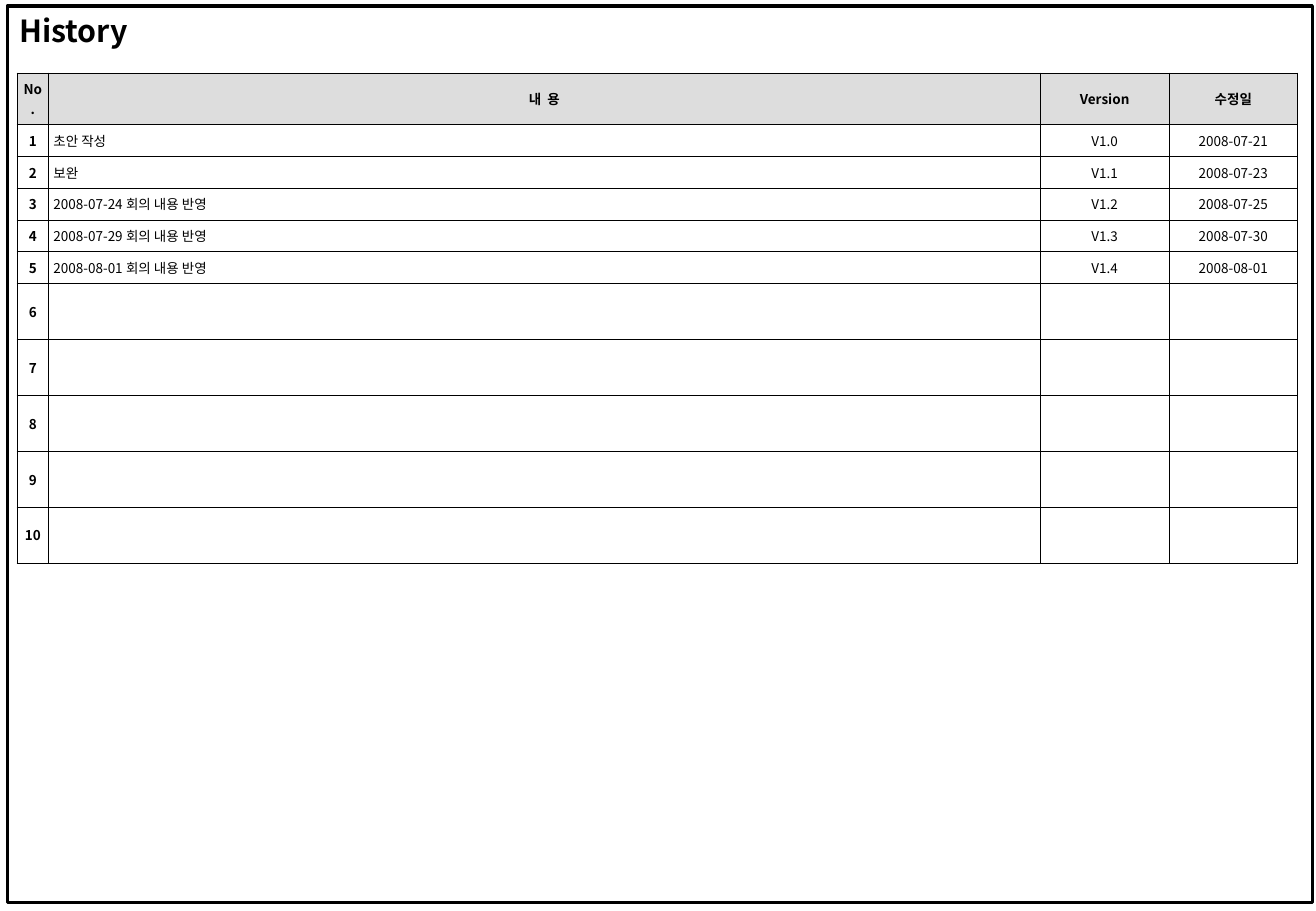
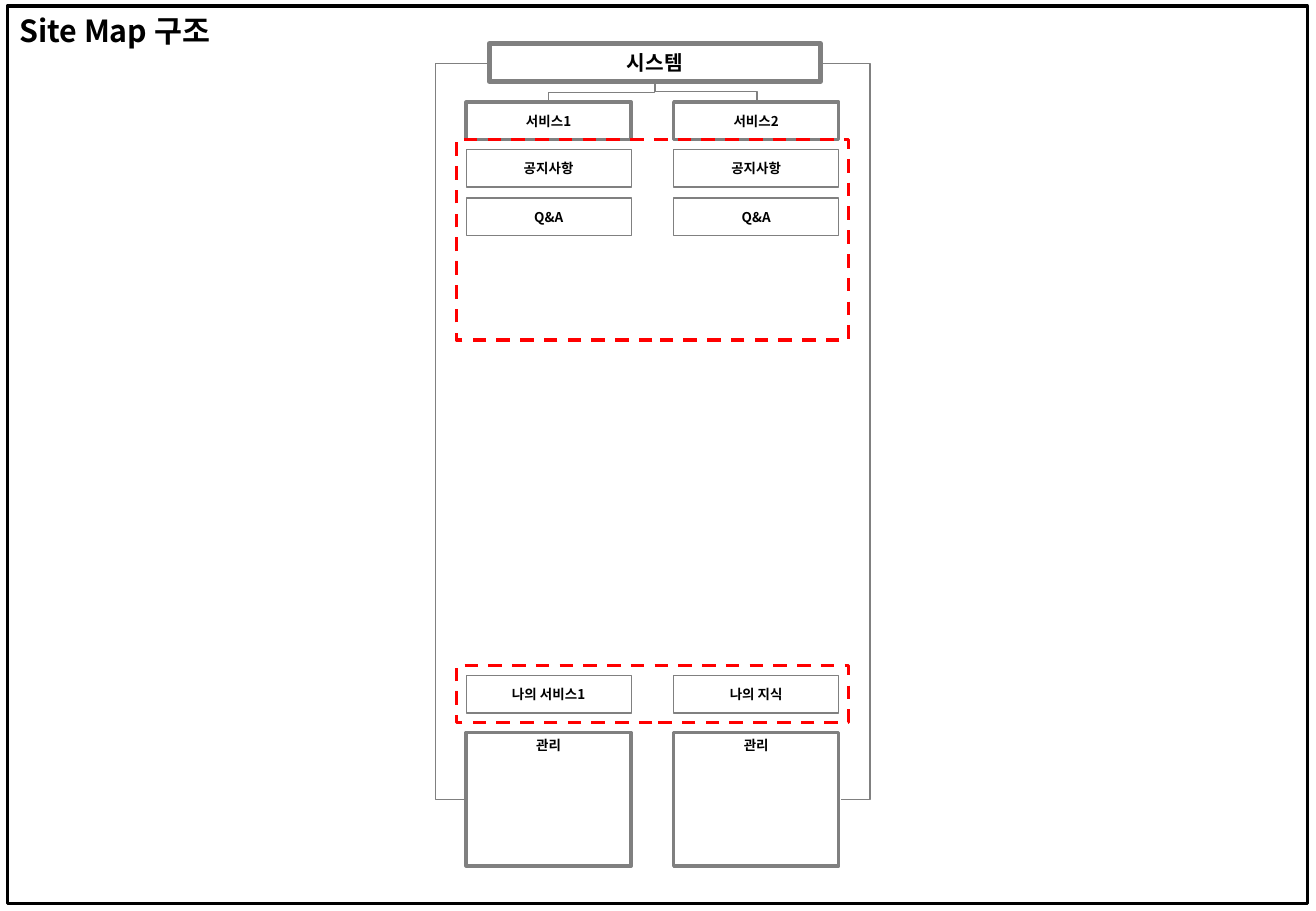
from lxml import etree
from pptx import Presentation, util as u
from pptx.dml.color import RGBColor
from pptx.enum import dml, shapes, text
from pptx.oxml import ns

FONT = "Noto Sans CJK KR"
BLACK, WHITE, GREY, PALE, RED = "000000", "FFFFFF", "808080", "DDDDDD", "FF0000"


def paint(fill, colour):
    fill.solid()
    fill.fore_color.rgb = RGBColor.from_string(colour)


def write(para, words, size, bold=True):
    span = para.add_run()
    span.text = words
    span.font.name = FONT
    span.font.size = u.Pt(size)
    span.font.bold = bold
    paint(span.font.fill, BLACK)
    east_asian = etree.SubElement(span.font._element, ns.qn("a:ea"))
    east_asian.set("typeface", FONT)


deck = Presentation()
deck.slide_width, deck.slide_height = u.Inches(10.84), u.Inches(7.5)
history, site_map = [deck.slides.add_slide(deck.slide_layouts[6]) for _ in range(2)]

for page, title, width, height in [
    (history, "History", 10.75, 7.38),
    (site_map, "Site Map 구조", 10.71, 7.39),
]:
    frame = page.shapes.add_shape(
        shapes.MSO_SHAPE.RECTANGLE,
        u.Inches(0.06), u.Inches(0.05), u.Inches(width), u.Inches(height),
    )
    frame.shadow.inherit = False
    frame.fill.background()
    paint(frame.line.fill, BLACK)
    frame.line.width = u.Pt(2)
    frame.text_frame.vertical_anchor = text.MSO_ANCHOR.TOP
    para = frame.text_frame.paragraphs[0]
    para.alignment = text.PP_ALIGN.LEFT
    write(para, title, 18)

entries = [
    ("초안 작성", "V1.0", "2008-07-21"),
    ("보완", "V1.1", "2008-07-23"),
    ("2008-07-24 회의 내용 반영", "V1.2", "2008-07-25"),
    ("2008-07-29 회의 내용 반영", "V1.3", "2008-07-30"),
    ("2008-08-01 회의 내용 반영", "V1.4", "2008-08-01"),
] + [("", "", "")] * 5
rows = [("No.", "내  용", "Version", "수정일")]
rows += [(str(number), *entry) for number, entry in enumerate(entries, 1)]
row_heights = [0.42] + [0.26] * 5 + [0.46] * 5
column_widths = [0.26, 8.17, 1.06, 1.06]

table = history.shapes.add_table(
    len(rows), len(column_widths), u.Inches(0.14), u.Inches(0.6),
    u.Inches(sum(column_widths)), u.Inches(sum(row_heights)),
).table
table.first_row = table.horz_banding = False
for column, width in zip(table.columns, column_widths):
    column.width = u.Inches(width)
for row_index, (row, height) in enumerate(zip(rows, row_heights)):
    table.rows[row_index].height = u.Inches(height)
    for column_index, words in enumerate(row):
        cell = table.cell(row_index, column_index)
        cell.margin_left = cell.margin_right = u.Inches(0.04)
        cell.vertical_anchor = text.MSO_ANCHOR.MIDDLE
        properties = cell._tc.get_or_add_tcPr()
        for side in ("a:lnL", "a:lnR", "a:lnT", "a:lnB"):
            border = etree.SubElement(properties, ns.qn(side), w=str(u.Pt(0.45)))
            solid = etree.SubElement(border, ns.qn("a:solidFill"))
            etree.SubElement(solid, ns.qn("a:srgbClr"), val=BLACK)
        paint(cell.fill, WHITE if row_index else PALE)
        if words:
            para = cell.text_frame.paragraphs[0]
            left = row_index and column_index == 1
            para.alignment = text.PP_ALIGN.LEFT if left else text.PP_ALIGN.CENTER
            para.space_before = u.Pt(2)
            write(para, words, 8, row_index == 0 or column_index == 0)

boxes = [("시스템", 4.03, 0.36, 2.73, 0.31, 3, 12)]
for labels, top, height, weight in [
    (("서비스1", "서비스2"), 0.84, 0.31, 2),
    (("공지사항", "공지사항"), 1.23, 0.31, 0.75),
    (("Q&A", "Q&A"), 1.63, 0.31, 0.75),
    (("나의 서비스1", "나의 지식"), 5.56, 0.31, 0.75),
    (("관리", "관리"), 6.03, 1.1, 2),
]:
    for label, left in zip(labels, (3.84, 5.55)):
        boxes.append((label, left, top, 1.36, height, weight, 8))

for label, left, top, width, height, weight, size in boxes:
    box = site_map.shapes.add_shape(
        shapes.MSO_SHAPE.RECTANGLE,
        u.Inches(left), u.Inches(top), u.Inches(width), u.Inches(height),
    )
    box.shadow.inherit = False
    paint(box.fill, WHITE)
    paint(box.line.fill, GREY)
    box.line.width = u.Pt(weight)
    body = box.text_frame
    body.word_wrap = False
    body.margin_left = body.margin_right = u.Inches(0.04)
    body.margin_top = body.margin_bottom = u.Inches(0.04)
    body.vertical_anchor = text.MSO_ANCHOR.TOP if height > 1 else text.MSO_ANCHOR.MIDDLE
    para = body.paragraphs[0]
    para.alignment = text.PP_ALIGN.CENTER
    write(para, label, size)

for start_x, start_y, end_x, end_y, turn, bend in [
    (4.89, 0.33, 5.02, 1.2, 90, 46400),
    (5.88, 0.34, 5.75, 1.18, 270, 46400),
    (4.01, 0.52, 3.83, 6.58, 0, 233300),
    (6.78, 0.52, 6.93, 6.58, 0, 257900),
]:
    elbow = site_map.shapes.add_connector(
        shapes.MSO_CONNECTOR.ELBOW,
        u.Inches(start_x), u.Inches(start_y), u.Inches(end_x), u.Inches(end_y),
    )
    paint(elbow.line.fill, GREY)
    elbow.line.width = u.Pt(0.75)
    properties = elbow._element.spPr
    etree.SubElement(properties, ns.qn("a:effectLst"))
    properties.find(ns.qn("a:xfrm")).set("rot", str(turn * 60000))
    adjustments = properties.find(ns.qn("a:prstGeom")).find(ns.qn("a:avLst"))
    etree.SubElement(adjustments, ns.qn("a:gd"), name="adj1", fmla=f"val {bend}")

for top, height in [(1.15, 1.65), (5.48, 0.47)]:
    group_outline = site_map.shapes.add_shape(
        shapes.MSO_SHAPE.RECTANGLE,
        u.Inches(3.76), u.Inches(top), u.Inches(3.23), u.Inches(height),
    )
    group_outline.shadow.inherit = False
    group_outline.fill.background()
    paint(group_outline.line.fill, RED)
    group_outline.line.width = u.Pt(2)
    group_outline.line.dash_style = dml.MSO_LINE.DASH

deck.save("out.pptx")
